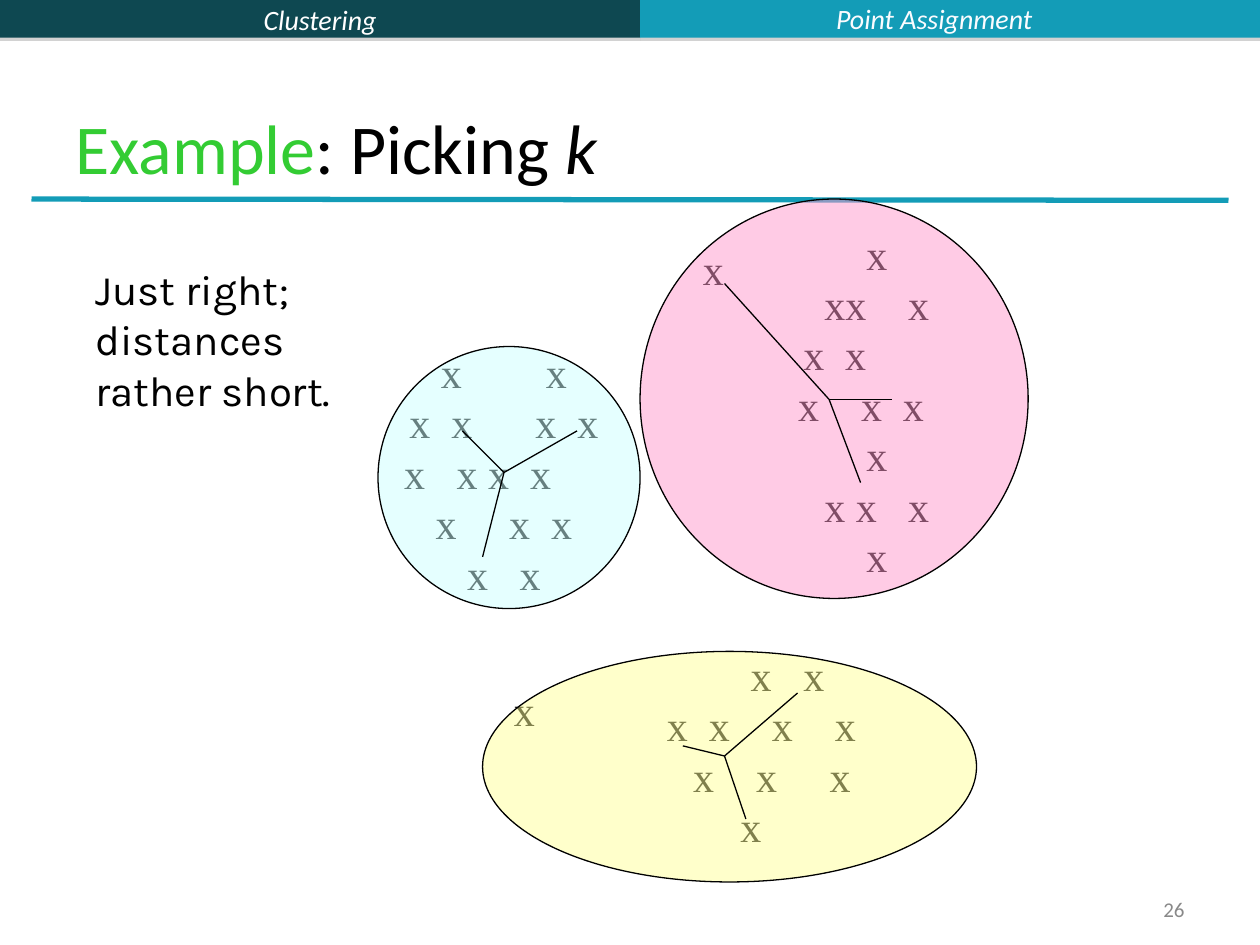
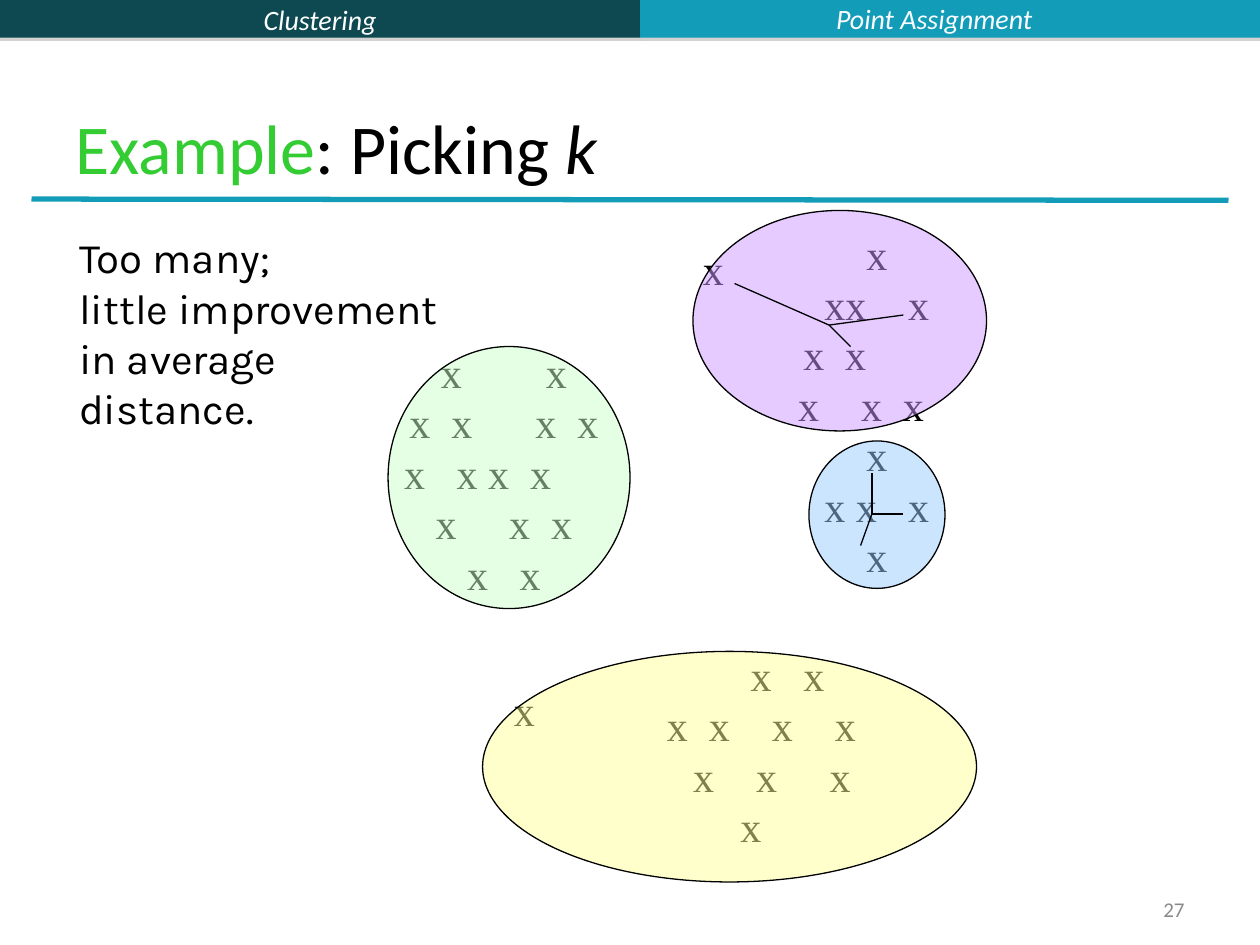
"""Build two slides on choosing the number of clusters k."""
from lxml import etree
from pptx import Presentation
from pptx import util as u
from pptx.dml.color import RGBColor
from pptx.enum import shapes, text
from pptx.oxml import ns

COLOURS = {
    "dark": "0E4851", "teal": "139CB7", "green": "33CC33", "black": "000000",
    "white": "FFFFFF", "pale": "FBFCFF", "grey": "898989", "shadow": "808080",
    "yellow": "FFFF99", "cyan": "CCFFFF", "pink": "FF99CC", "mint": "CCFFCC",
    "violet": "CC99FF", "blue": "99CCFF",
}
BAND = {"name": "Calibri", "size": u.Pt(16), "italic": True}
TITLE = {"name": "Calibri", "size": u.Pt(40)}
NUMBER = {"name": "Calibri", "size": u.Pt(12)}
MARK = {"name": "Times New Roman", "size": u.Pt(24)}
REMARK = {"name": "Karla", "size": u.Pt(24)}
MARK_LINE = u.Pt(28.8)
UNITS_PER_INCH = 12
MARK_UNITS = 2

POINT_CLUSTERS = [
    ((3, 2.5, 2, 2.5),
     [(6, 16), (3, 7, 15, 19), (2.5, 7.5, 10.5, 14.5), (5.5, 12.5, 16.5), (8.5, 13.5)]),
    ((6, 1.67, 1.92, 3.08),
     [(10.5,), (6.5, 8.5, 14.5), (4.5, 8.5), (4, 10, 14), (10.5,), (6.5, 9.5, 14.5), (10.5,)]),
    ((5, 5.08, 2.08, 1.75),
     [(11.5, 16.5), (3.5, 7.5, 13.5, 19.5), (6, 12, 19), (10.5,)]),
]
OUTLIERS = [(5.48, 1.88, 0.36, 0.5), (3.98, 5.38, 0.36, 0.5)]
WIDE_CLUSTER = ((3.83, 5.17, 3.92, 1.83), "yellow")
SLIDES = [
    {
        "number": 26,
        "remark": ["Just right;", "distances", "rather short."],
        "remark_at": (0.66, 2.04, 2.18, 1.3),
        "ellipses": [WIDE_CLUSTER, ((3, 2.75, 2.08, 2.08), "cyan"),
                     ((5.08, 1.58, 3.08, 3.17), "pink")],
        "spokes": [
            ((4, 3.75), [(3.67, 3.42), (4.58, 3.42), (3.83, 4.42)]),
            ((5.75, 6), [(5.42, 5.92), (6.33, 5.5), (5.92, 6.5)]),
            ((6.58, 3.17), [(5.75, 2.25), (7.08, 3.17), (6.83, 3.83)]),
        ],
    },
    {
        "number": 27,
        "remark": ["Too many;", "little improvement", "in average", "distance."],
        "remark_at": (0.53, 1.79, 3.1, 1.7),
        "ellipses": [WIDE_CLUSTER, ((3.08, 2.75, 1.92, 2.08), "mint"),
                     ((5.5, 1.67, 2.33, 1.75), "violet"),
                     ((6.42, 3.5, 1.08, 1.17), "blue")],
        "spokes": [
            ((6.58, 2.58), [(5.83, 2.25), (7.17, 2.5), (6.75, 2.75)]),
            ((6.92, 4.08), [(6.92, 3.75), (7.17, 4.08), (6.83, 4.33)]),
        ],
    },
]


def rgb(colour):
    return RGBColor.from_string(COLOURS[colour])


def inches(lengths):
    return [u.Inches(length) for length in lengths]


def child(parent, tag, **values):
    element = etree.SubElement(parent, ns.qn(tag))
    for name, value in values.items():
        element.set(name, str(value))
    return element


class SlideBuilder:
    """Hold the deck style and draw elements on the current slide."""

    def __init__(self):
        self.deck = Presentation()
        self.deck.slide_width, self.deck.slide_height = inches((10, 7.5))
        self.page = None

    def start(self):
        self.page = self.deck.slides.add_slide(self.deck.slide_layouts[5])

    def span(self, para, words, style, colour="black", **extra):
        span = para.add_run()
        span.text = words
        for name, value in {**style, **extra}.items():
            setattr(span.font, name, value)
        span.font.color.rgb = rgb(colour)

    def paragraphs(self, frame, lines, style, colour="black", align="LEFT", spacing=None):
        for index, words in enumerate(lines):
            para = frame.add_paragraph() if index else frame.paragraphs[0]
            para.alignment = getattr(text.PP_ALIGN, align)
            para.line_spacing = spacing
            self.span(para, words, style, colour)

    def text_box(self, at, lines, style, wrap=True, anchor="TOP", **options):
        frame = self.page.shapes.add_textbox(*inches(at)).text_frame
        frame.word_wrap = wrap
        frame.vertical_anchor = getattr(text.MSO_ANCHOR, anchor)
        self.paragraphs(frame, lines, style, **options)
        return frame

    def title(self):
        title = self.page.shapes.title
        title.left, title.top, title.width, title.height = inches((0.5, 0.3, 9, 1.25))
        title.text_frame.vertical_anchor = text.MSO_ANCHOR.BOTTOM
        para = title.text_frame.paragraphs[0]
        para.alignment = text.PP_ALIGN.LEFT
        self.span(para, "Example", TITLE, "green")
        self.span(para, ": Picking ", TITLE)
        self.span(para, "k", TITLE, italic=True)

    def shape(self, kind, at, colour):
        shape = self.page.shapes.add_shape(kind, *inches(at))
        shape.shadow.inherit = False
        shape.fill.solid()
        shape.fill.fore_color.rgb = rgb(colour)
        return shape

    def band(self, at, colour):
        band = self.shape(shapes.MSO_SHAPE.RECTANGLE, at, colour)
        band.line.fill.background()
        effects = band.element.spPr.find(ns.qn("a:effectLst"))
        shadow = child(effects, "a:outerShdw", dist=u.Pt(1.8), dir=90 * 60000, rotWithShape=0)
        tint = child(shadow, "a:srgbClr", val=COLOURS["shadow"])
        child(tint, "a:alpha", val=35000)
        return band

    def ellipse(self, at, colour):
        ellipse = self.shape(shapes.MSO_SHAPE.OVAL, at, colour)
        ellipse.line.color.rgb = rgb("black")
        ellipse.line.width = u.Pt(0.75)
        tint = ellipse.element.spPr.find(f"{ns.qn('a:solidFill')}/{ns.qn('a:srgbClr')}")
        child(tint, "a:alpha", val=50000)

    def line(self, start, end, colour="black", width=0.75):
        line = self.page.shapes.add_connector(
            shapes.MSO_CONNECTOR.STRAIGHT, *inches((*start, *end)))
        line.line.color.rgb = rgb(colour)
        line.line.width = u.Pt(width)
        child(line.element.spPr, "a:effectLst")

    def spokes(self, centre, ends):
        for end in ends:
            self.line(centre, end)

    def points(self, at, rows):
        lines, stops = [], []
        for row in rows:
            joined = [i > 0 and row[i] - row[i - 1] == MARK_UNITS for i in range(len(row))]
            lines.append("".join("x" if close else "\tx" for close in joined))
            stops.append([column for column, close in zip(row, joined) if not close])
        frame = self.text_box(at, lines, MARK, anchor="MIDDLE", spacing=MARK_LINE)
        for side in ("left", "right", "top", "bottom"):
            setattr(frame, f"margin_{side}", 0)
        for para, columns in zip(frame.paragraphs, stops):
            tabs = child(para._p.get_or_add_pPr(), "a:tabLst")
            for column in columns:
                child(tabs, "a:tab", pos=u.Inches(column / UNITS_PER_INCH), algn="l")

    def furniture(self, number):
        topic = self.band((0, 0, 5.08, 0.3), "dark").text_frame
        topic.vertical_anchor = text.MSO_ANCHOR.MIDDLE
        self.paragraphs(topic, ["Clustering"], BAND, "white", "CENTER")
        self.band((5.08, 0, 4.92, 0.3), "teal")
        self.line((0.25, 1.58), (9.75, 1.59), "teal", 3)
        self.text_box((7.17, 7.08, 2.33, 0.27), [str(number)], NUMBER,
                      anchor="MIDDLE", colour="grey", align="RIGHT")
        self.text_box((4.83, -0.04, 5.17, 0.37), ["Point Assignment"], BAND,
                      anchor="MIDDLE", colour="pale", align="CENTER")


def main():
    builder = SlideBuilder()
    for content in SLIDES:
        builder.start()
        builder.furniture(content["number"])
        builder.title()
        for at, rows in POINT_CLUSTERS:
            builder.points(at, rows)
        for at in OUTLIERS:
            builder.text_box(at, ["x"], MARK, wrap=False, spacing=MARK_LINE)
        for at, colour in content["ellipses"]:
            builder.ellipse(at, colour)
        for centre, ends in content["spokes"]:
            builder.spokes(centre, ends)
        builder.text_box(content["remark_at"], content["remark"], REMARK, wrap=False)
    builder.deck.save("out.pptx")


if __name__ == "__main__":
    main()
